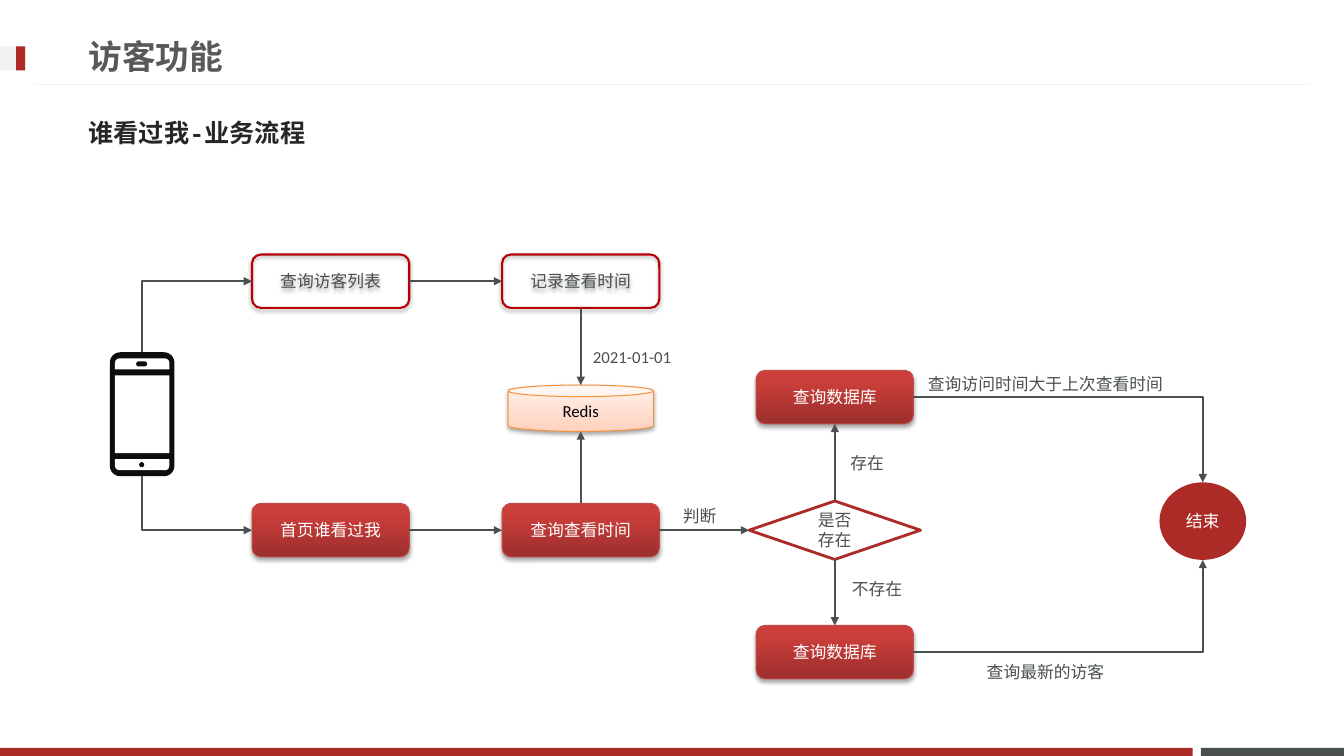
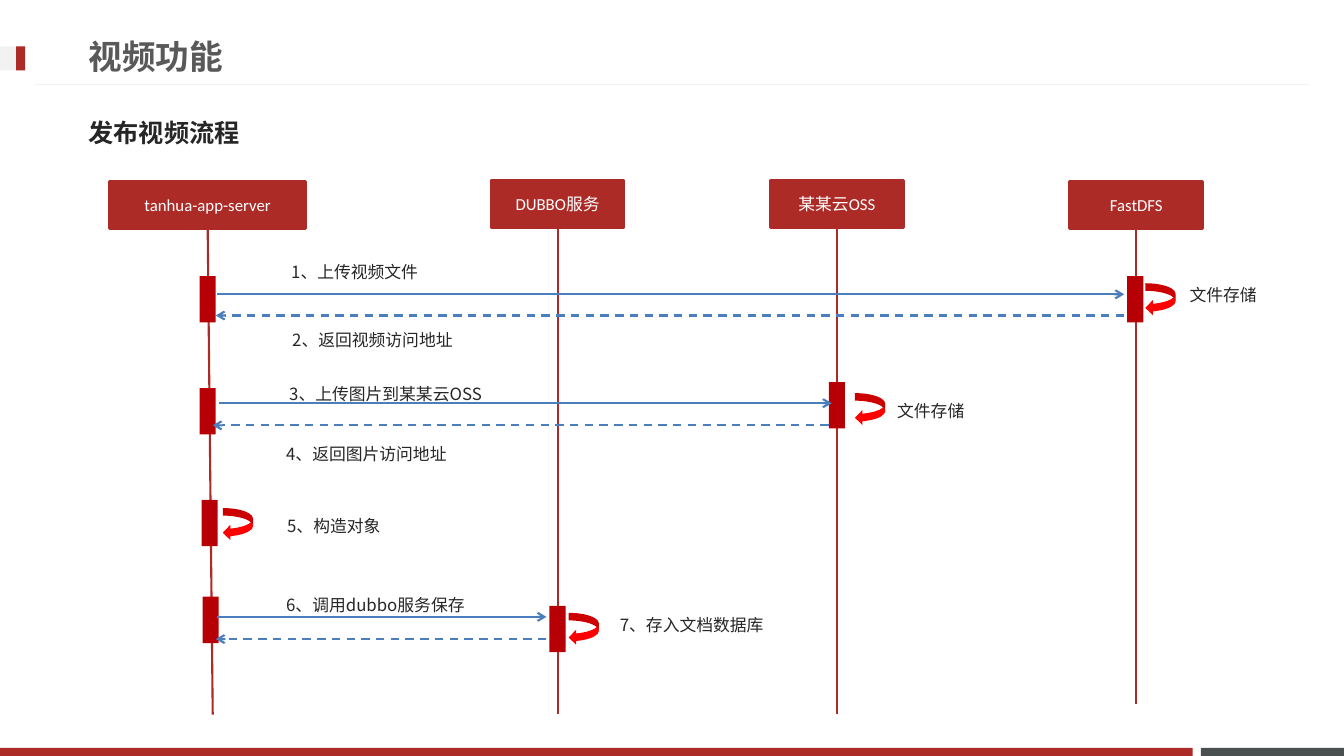
from pptx import Presentation
from pptx.dml.color import RGBColor as RGB
from pptx.enum.dml import MSO_LINE as Dash
from pptx.enum.shapes import MSO_CONNECTOR as Conn, MSO_SHAPE as Kind
from pptx.enum.text import MSO_ANCHOR as Anchor, PP_ALIGN as Align
from pptx.oxml.ns import qn
from pptx.util import Inches, Pt
from lxml.etree import SubElement as Sub

# Colours and fonts
RED, DEEP, EDGE = RGB(0xAD, 0x2B, 0x26), RGB(0xB7, 0, 6), RGB(0xBF, 0x4C, 0x48)
SLATE, PALE, WHITE = RGB(0x49, 0x50, 0x4F), RGB(0xF2, 0xF2, 0xF2), RGB(255, 255, 255)
GREY, INK, BLACK = RGB(0x59, 0x59, 0x59), RGB(0x26, 0x26, 0x26), RGB(0, 0, 0)
BLUE, BRIGHT, PHONE = RGB(0x4B, 0x7E, 0xBC), RGB(255, 0, 0), RGB(13, 13, 13)
ORANGE = RGB(0xF6, 0x92, 0x40)
BRICK = (RGB(0x9C, 0x2F, 0x2D), RGB(0xCB, 0x3E, 0x3A), 0.8)
PEACH = (RGB(0xFF, 0xD2, 0xBD), RGB(0xFF, 0xF2, 0xED), 1)
BODY, CJK, MONO = "Calibri", "Noto Sans CJK JP", "Courier New"
WIDE, HIGH = 13.33, 7.5

# Flow slide: looks are shape, fill, line, line width, text colour, shadow
LOOKS = {
    "solid": (Kind.ROUNDED_RECTANGLE, BRICK, EDGE, 0.75, WHITE, True),
    "open": (Kind.ROUNDED_RECTANGLE, None, DEEP, 1.5, SLATE, True),
    "store": (Kind.CAN, PEACH, ORANGE, 0.75, BLACK, True),
    "test": (Kind.FLOWCHART_DECISION, None, RED, 2, SLATE, False),
    "end": (Kind.FLOWCHART_CONNECTOR, RED, None, 0, WHITE, False),
}
SIZES = {"solid": (1.56, 0.53), "open": (1.56, 0.53), "store": (1.44, 0.46),
         "test": (1.7, 0.58), "end": (0.86, 0.77), "phone": (0.64, 1.23)}
COLS = (1.41, 3.28, 5.76, 8.28, 11.93)
ROWS = (2.79, 3.94, 4.05, 4.11, 5.17, 5.26, 6.47)
NODES = {  # look, column, row, text
    "phone": ("phone", 0, 3, ""),
    "list": ("open", 1, 0, "查询访客列表"),
    "note": ("open", 2, 0, "记录查看时间"),
    "redis": ("store", 2, 2, "Redis"),
    "home": ("solid", 1, 5, "首页谁看过我"),
    "time": ("solid", 2, 5, "查询查看时间"),
    "check": ("test", 3, 5, "是否\n存在"),
    "newer": ("solid", 3, 1, "查询数据库"),
    "last": ("solid", 3, 6, "查询数据库"),
    "end": ("end", 4, 4, "结束"),
}
LINKS = [("list", "note"), ("note", "redis"), ("time", "redis"), ("home", "time"),
         ("time", "check"), ("check", "newer"), ("check", "last")]
BENDS = [("list", "phone", "headEnd"), ("home", "phone", "headEnd"),
         ("newer", "end", "tailEnd"), ("last", "end", "tailEnd")]
NOTES = [("判断", 6.94, 5.12), ("存在", 8.6, 4.6), ("不存在", 8.7, 5.85),
         ("2021-01-01", 6.27, 3.54), ("查询访问时间大于上次查看时间", 10.37, 3.81),
         ("查询最新的访客", 10.37, 6.67)]

# Sequence slide
LANES = [  # text, centre, top, width, line end x, line end y
    ("tanhua-app-server", 2.06, 1.8, 1.94, 2.11, 7.09),
    ("DUBBO服务", 5.53, 1.79, 1.32, 5.53, 7.08),
    ("某某云OSS", 8.3, 1.79, 1.32, 8.3, 7.08),
    ("FastDFS", 11.27, 1.8, 1.32, 11.27, 6.98),
]
BARS = [(2.06, 2.74), (11.26, 2.74), (2.06, 3.85), (8.3, 3.79),
        (2.08, 4.96), (2.09, 5.92), (5.53, 6.01)]
LOOPS = [(11.36, 2.81), (8.48, 3.9), (2.21, 5.04), (5.64, 6.08)]
CALLS = [(2.15, 11.15, 2.92), (2.17, 8.25, 4), (2.15, 5.42, 6.12)]
BACKS = [(11.15, 2.14, 3.13), (8.22, 2.11, 4.22), (5.42, 2.14, 6.34)]
STEPS = [("1、上传视频文件", 2.79, 2.45), ("2、返回视频访问地址", 2.8, 3.12),
         ("3、上传图片到某某云OSS", 2.77, 3.66), ("4、返回图片访问地址", 2.74, 4.25),
         ("5、构造对象", 2.75, 4.97), ("6、调用dubbo服务保存", 2.74, 5.75),
         ("7、存入文档数据库", 6.05, 5.95), ("文件存储", 11.7, 2.68),
         ("文件存储", 8.8, 3.83)]


# Drawing helpers
def write(shape, text, size, face, color, bold=False, align=Align.CENTER,
          anchor=Anchor.MIDDLE, space=None):
    frame = shape.text_frame
    frame.text, frame.word_wrap, frame.vertical_anchor = text, True, anchor
    for para in frame.paragraphs:
        para.alignment = align
        if space:
            para.line_spacing = space
        for run in para.runs:
            font = run.font
            font.size, font.name, font.bold = Pt(size), face, bold
            font.color.rgb = color
            Sub(run._r.get_or_add_rPr(), qn("a:ea"), typeface=CJK)


def label(slide, text, x, y, w, h, *style, **more):
    box = slide.shapes.add_textbox(*map(Inches, (x, y, w, h)))
    write(box, text, *style, **more)


def block(slide, kind, x, y, w, h, fill=None, line=None, width=0):
    shape = slide.shapes.add_shape(kind, *map(Inches, (x, y, w, h)))
    shape.shadow.inherit = False
    if fill is None:
        shape.fill.background()
    elif isinstance(fill, RGB):
        shape.fill.solid()
        shape.fill.fore_color.rgb = fill
    else:
        low, top, stop = fill
        shape.fill.gradient()
        shape.fill.gradient_angle = 90
        first, last = shape.fill.gradient_stops
        first.color.rgb, last.color.rgb = low, top
        first.position, last.position = 0, stop
    if line is None:
        shape.line.fill.background()
    else:
        shape.line.color.rgb, shape.line.width = line, Pt(width)
    return shape


def shade(shape):
    effect = shape._element.spPr.find(qn("a:effectLst"))
    cast = Sub(effect, qn("a:outerShdw"), blurRad=str(Pt(3.1)), dist=str(Pt(1.8)),
               dir="5400000", rotWithShape="0")
    Sub(Sub(cast, qn("a:srgbClr"), val="000000"), qn("a:alpha"), val="35000")


def wire(slide, start, stop, color, width=1.5, tip=None, end="tailEnd",
         dash=False, bend=False):
    kind = Conn.ELBOW if bend else Conn.STRAIGHT
    conn = slide.shapes.add_connector(kind, *map(Inches, (*start, *stop)))
    conn.line.color.rgb, conn.line.width = color, Pt(width)
    if dash:
        conn.line.dash_style = Dash.DASH
    props = conn._element.spPr
    if bend:
        props.find(qn("a:prstGeom")).set("prst", "bentConnector2")
    if tip:
        Sub(props.find(qn("a:ln")), qn("a:" + end), type=tip)
    Sub(props, qn("a:effectLst"))


def page(deck, title, head, face):
    slide = deck.slides.add_slide(deck.slide_layouts[6])
    for x, y, w, h, fill in [(11.91, 7.42, 1.42, 0.08, SLATE),
                             (0, 7.42, 11.83, 0.08, RED),
                             (0, 0.46, 0.25, 0.24, PALE),
                             (0.16, 0.46, 0.09, 0.24, RED)]:
        block(slide, Kind.RECTANGLE, x, y, w, h, fill)
    wire(slide, (0.35, 0.84), (12.98, 0.84), PALE, 0.75)
    label(slide, title, 0.78, 0.27, 9.59, 0.57, 24, MONO, GREY, True, Align.LEFT)
    label(slide, head, 0.78, 1.03, 11.76, 0.57, 18, face, INK, True, Align.LEFT)
    return slide


# Flow slide
def place(name):
    look, col, row, _ = NODES[name]
    return (COLS[col], ROWS[row], *SIZES[look])


def sign(value):
    return (value > 0) - (value < 0)


def edge(name, dx, dy):
    x, y, w, h = place(name)
    return x + dx * w / 2, y + dy * h / 2


def phone(slide):
    x, y, w, h = place("phone")
    left, top = x - w / 2, y - h / 2
    for kind, dx, dy, pw, ph, fill in [
            (Kind.ROUNDED_RECTANGLE, 0, 0, w, h, PHONE),
            (Kind.ROUND_2_SAME_RECTANGLE, 0.05, 0.06, 0.54, 0.11, WHITE),
            (Kind.RECTANGLE, 0.05, 0.23, 0.54, 0.77, WHITE),
            (Kind.ROUND_2_SAME_RECTANGLE, 0.05, 1.06, 0.54, 0.11, WHITE),
            (Kind.ROUNDED_RECTANGLE, 0.26, 0.09, 0.11, 0.05, PHONE),
            (Kind.OVAL, 0.29, 1.09, 0.05, 0.05, PHONE)]:
        part = block(slide, kind, left + dx, top + dy, pw, ph, fill)
        if kind == Kind.ROUND_2_SAME_RECTANGLE:
            part.adjustments[0] = 0.4
            part.rotation = 180 if dy > 1 else 0
        elif fill == PHONE and pw != ph:
            part.adjustments[0] = 0.16 if ph == h else 0.5


def flow(slide):
    phone(slide)
    for name, (look, _, _, text) in NODES.items():
        if look == "phone":
            continue
        x, y, w, h = place(name)
        kind, fill, line, width, color, cast = LOOKS[look]
        shape = block(slide, kind, x - w / 2, y - h / 2, w, h, fill, line, width)
        write(shape, text, 12, BODY, color)
        if cast:
            shade(shape)
    for a, b in LINKS:
        dx, dy = (sign(q - p) for p, q in zip(place(a)[:2], place(b)[:2]))
        wire(slide, edge(a, dx, dy), edge(b, -dx, -dy), SLATE, tip="triangle")
    for a, b, end in BENDS:
        dx, dy = (sign(q - p) for p, q in zip(place(a)[:2], place(b)[:2]))
        wire(slide, edge(a, dx, 0), edge(b, 0, -dy), SLATE, tip="triangle",
             end=end, bend=True)
    for text, x, y in NOTES:
        label(slide, text, x - 1.7, y - 0.23, 3.4, 0.45, 12, BODY, SLATE)


# Sequence slide
def trace(slide):
    for text, x, y, w, foot, low in LANES:
        head = block(slide, Kind.RECTANGLE, x - w / 2, y, w, 0.47, RED, RED, 2)
        write(head, text, 12, BODY, WHITE)
        wire(slide, (x, y + 0.47), (foot, low), RED)
    for x, y in BARS:
        block(slide, Kind.RECTANGLE, x - 0.08, y, 0.16, 0.46, DEEP)
    for x, y in LOOPS:
        block(slide, Kind.CURVED_LEFT_ARROW, x, y, 0.3, 0.32, BRIGHT)
    for dash, group in ((False, CALLS), (True, BACKS)):
        for x, far, y in group:
            wire(slide, (x, y), (far, y), BLUE, tip="arrow", dash=dash)
    for text, x, y in STEPS:
        label(slide, text, x, y, 2.36 if x < 11 else 1.6, 0.46, 12, CJK, INK,
              align=Align.LEFT, anchor=Anchor.TOP, space=1.5)


def main():
    deck = Presentation()
    deck.slide_width, deck.slide_height = Inches(WIDE), Inches(HIGH)
    flow(page(deck, "访客功能", "谁看过我-业务流程", MONO))
    trace(page(deck, "视频功能", "发布视频流程", CJK))
    deck.save("out.pptx")


if __name__ == "__main__":
    main()
